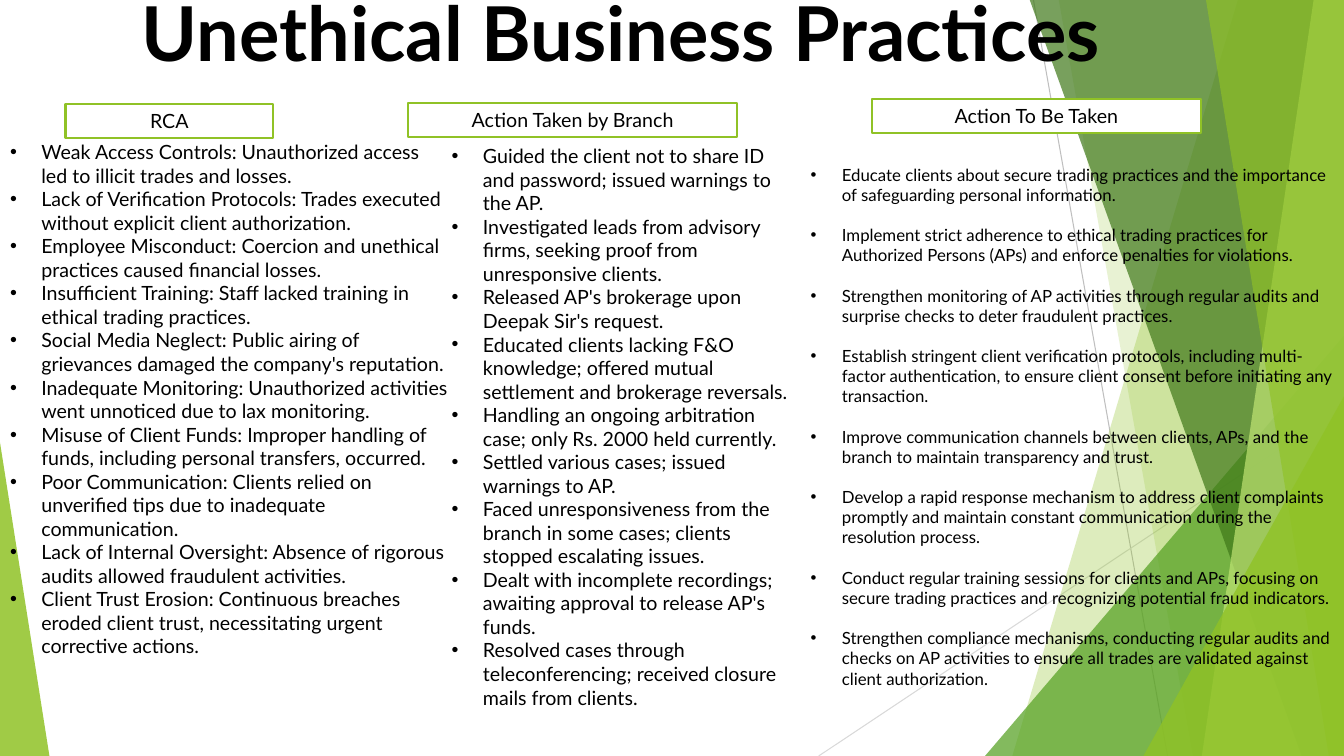
import pptx
import pptx.util
import pptx.dml.color
import pptx.enum.shapes
import pptx.enum.text
import pptx.oxml
import pptx.oxml.ns

Inches, Pt = pptx.util.Inches, pptx.util.Pt
RGBColor = pptx.dml.color.RGBColor
MSO_SHAPE = pptx.enum.shapes.MSO_SHAPE
PP_ALIGN = pptx.enum.text.PP_ALIGN
MSO_ANCHOR = pptx.enum.text.MSO_ANCHOR
MSO_AUTO_SIZE = pptx.enum.text.MSO_AUTO_SIZE

BLACK = RGBColor(0x00, 0x00, 0x00)
WHITE = RGBColor(0xFF, 0xFF, 0xFF)
LIME = RGBColor(0x90, 0xC2, 0x26)
GREEN = RGBColor(0x54, 0xA0, 0x21)
DARK = RGBColor(0x3F, 0x78, 0x19)
PALE = RGBColor(0xC0, 0xE4, 0x74)
GRAY = RGBColor(0xBF, 0xBF, 0xBF)
SILVER = RGBColor(0xD9, 0xD9, 0xD9)
FONT = "Lato"
WIDTH, HEIGHT, TOP = 13.33, 7.5, -0.01
INDENT = 0.31

TITLE = "Unethical Business Practices"
RCA = [
    "Weak Access Controls: Unauthorized access led to illicit trades and losses.",
    "Lack of Verification Protocols: Trades executed without explicit client authorization.",
    "Employee Misconduct: Coercion and unethical practices caused financial losses.",
    "Insufficient Training: Staff lacked training in ethical trading practices.",
    "Social Media Neglect: Public airing of grievances damaged the company's reputation.",
    "Inadequate Monitoring: Unauthorized activities went unnoticed due to lax monitoring.",
    "Misuse of Client Funds: Improper handling of funds, including personal transfers, occurred.",
    "Poor Communication: Clients relied on unverified tips due to inadequate communication.",
    "Lack of Internal Oversight: Absence of rigorous audits allowed fraudulent activities.",
    "Client Trust Erosion: Continuous breaches eroded client trust, necessitating urgent "
    "corrective actions.",
]
TAKEN = [
    "Guided the client not to share ID and password; issued warnings to the AP.",
    "Investigated leads from advisory firms, seeking proof from unresponsive clients.",
    "Released AP's brokerage upon Deepak Sir's request.",
    "Educated clients lacking F&O knowledge; offered mutual settlement and brokerage reversals.",
    "Handling an ongoing arbitration case; only Rs. 2000 held currently.",
    "Settled various cases; issued warnings to AP.",
    "Faced unresponsiveness from the branch in some cases; clients stopped escalating issues.",
    "Dealt with incomplete recordings; awaiting approval to release AP's funds.",
    "Resolved cases through teleconferencing; received closure mails from clients.",
]
TO_BE_TAKEN = [
    "Educate clients about secure trading practices and the importance of safeguarding "
    "personal information.",
    "Implement strict adherence to ethical trading practices for Authorized Persons (APs) "
    "and enforce penalties for violations.",
    "Strengthen monitoring of AP activities through regular audits and surprise checks to "
    "deter fraudulent practices.",
    "Establish stringent client verification protocols, including multi-factor "
    "authentication, to ensure client consent before initiating any transaction.",
    "Improve communication channels between clients, APs, and the branch to maintain "
    "transparency and trust.",
    "Develop a rapid response mechanism to address client complaints promptly and maintain "
    "constant communication during the resolution process.",
    "Conduct regular training sessions for clients and APs, focusing on secure trading "
    "practices and recognizing potential fraud indicators.",
    "Strengthen compliance mechanisms, conducting regular audits and checks on AP "
    "activities to ensure all trades are validated against client authorization.",
]
# heading, heading box, items, list box, size, gap after each item
COLUMNS = [
    ("RCA", (0.65, 1.03, 2.06, 0.34), RCA, (0, 1.34, 4.56, 5.99), 14, 0),
    ("Action Taken by Branch", (4.05, 1.02, 3.26, 0.34), TAKEN, (4.38, 1.38, 3.57, 5.99), 14, 0),
    ("Action To Be Taken", (8.65, 0.98, 3.26, 0.34), TO_BE_TAKEN,
     (7.94, 1.58, 5.39, 5.76), 12, 14.4),
]
RAYS = [((10.25, 0), (11.58, HEIGHT), GRAY), ((WIDTH, 4.03), (8.12, HEIGHT), SILVER)]
# bands: top-left x, bottom-left x; triangles: box, apex position
FACETS = [
    ("band", (12.28, 10.04), None, LIME, 30),
    ("band", (10.5, 11.83), None, LIME, 20),
    ("triangle", (9.77, 3.33, 3.56, 4.17), 1, GREEN, 72),
    ("band", (10.21, 12.91), None, DARK, 70),
    ("band", (13.03, 11.92), None, PALE, 70),
    ("band", (11.96, 13.18), None, LIME, 65),
    ("triangle", (11.34, 3.93, 1.99, 3.57), 1, LIME, 80),
    ("triangle", (0, 4.39, 0.49, 3.11), 0, LIME, 85),
]


def add_xml(parent, xml, index=None):
    """Insert a DrawingML element under parent, last unless an index is given."""
    tag, rest = xml.split(" ", 1)
    el = pptx.oxml.parse_xml(f"<a:{tag} {pptx.oxml.ns.nsdecls('a')} {rest}")
    parent.insert(len(parent) if index is None else index, el)


def place(shape, box):
    """Move and size a shape to a box given in inches."""
    shape.left, shape.top, shape.width, shape.height = [Inches(v) for v in box]


def format_run(r, size, bold=False):
    """Give a run the slide's font."""
    r.font.name, r.font.size, r.font.bold = FONT, Pt(size), bold
    r.font.color.rgb = BLACK


def add_ray(s, start, end, color):
    """Draw one thin background line."""
    c = s.shapes.add_connector(pptx.enum.shapes.MSO_CONNECTOR.STRAIGHT,
                               *[Inches(v) for v in start + end])
    c.line.color.rgb, c.line.width = color, Pt(0.75)
    add_xml(c._element.spPr, "effectLst />")


def add_facet(s, kind, geometry, apex, color, alpha):
    """Draw one translucent background facet."""
    if kind == "band":
        upper, lower = geometry
        points = [(upper, TOP), (WIDTH, TOP), (WIDTH, HEIGHT), (lower, HEIGHT)]
        points = [(Inches(x), Inches(y)) for x, y in points]
        fb = s.shapes.build_freeform(*points[0])
        fb.add_line_segments(points[1:], close=True)
        sp = fb.convert_to_shape()
    else:
        sp = s.shapes.add_shape(MSO_SHAPE.ISOSCELES_TRIANGLE, *[Inches(v) for v in geometry])
        sp.adjustments[0] = apex
    sp.shadow.inherit = False
    sp.line.fill.background()
    sp.fill.solid()
    sp.fill.fore_color.rgb = color
    clr = sp._element.spPr.find(".//" + pptx.oxml.ns.qn("a:srgbClr"))
    add_xml(clr, f'alpha val="{alpha * 1000}"/>')


def fill_title(title):
    """Write the outlined heading of the slide."""
    place(title, (0.84, -0.19, 10.64, 1.01))
    tf = title.text_frame
    tf.text = TITLE
    tf.word_wrap, tf.auto_size = False, MSO_AUTO_SIZE.NONE
    tf.vertical_anchor = MSO_ANCHOR.TOP
    p = tf.paragraphs[0]
    p.alignment = PP_ALIGN.CENTER
    format_run(p.runs[0], 54, True)
    add_xml(p.runs[0].font._element,
            f'ln w="9525"><a:solidFill><a:srgbClr val="{WHITE}"/></a:solidFill></a:ln>', 0)


def fill_list(body, items, box, size, gap):
    """Write one bulleted column."""
    place(body, box)
    tf = body.text_frame
    tf.text = "\n".join(items)
    tf.word_wrap, tf.auto_size = True, MSO_AUTO_SIZE.NONE
    tf.vertical_anchor = MSO_ANCHOR.TOP
    for p in tf.paragraphs:
        p.space_before, p.space_after = Pt(0), Pt(gap)
        format_run(p.runs[0], size)
        pPr = p._p.get_or_add_pPr()
        pPr.set("marL", str(Inches(INDENT)))
        pPr.set("indent", str(-Inches(INDENT)))
        add_xml(pPr, 'buFont typeface="Arial"/>')
        add_xml(pPr, 'buChar char="•"/>')


def add_heading(s, text, box):
    """Draw the framed heading of one column."""
    sp = s.shapes.add_shape(MSO_SHAPE.RECTANGLE, *[Inches(v) for v in box])
    sp.shadow.inherit = False
    sp.fill.solid()
    sp.fill.fore_color.rgb = WHITE
    sp.line.color.rgb, sp.line.width = LIME, Pt(1.5)
    tf = sp.text_frame
    tf.text = text
    tf.word_wrap = True
    tf.paragraphs[0].alignment = PP_ALIGN.CENTER
    format_run(tf.paragraphs[0].runs[0], 14)


def main():
    """Build the slide and save it."""
    prs = pptx.Presentation()
    prs.slide_width, prs.slide_height = Inches(WIDTH), Inches(HEIGHT)
    s = prs.slides.add_slide(prs.slide_layouts.get_by_name("Comparison"))
    title, *bodies, spare = list(s.placeholders)
    tree = s.shapes._spTree
    tree.remove(spare._element)
    for ray in RAYS:
        add_ray(s, *ray)
    for facet in FACETS:
        add_facet(s, *facet)
    tree.append(title._element)
    fill_title(title)
    for body, (heading, heading_box, items, box, size, gap) in zip(bodies, COLUMNS):
        tree.append(body._element)
        fill_list(body, items, box, size, gap)
        add_heading(s, heading, heading_box)
    prs.save("out.pptx")


if __name__ == "__main__":
    main()
